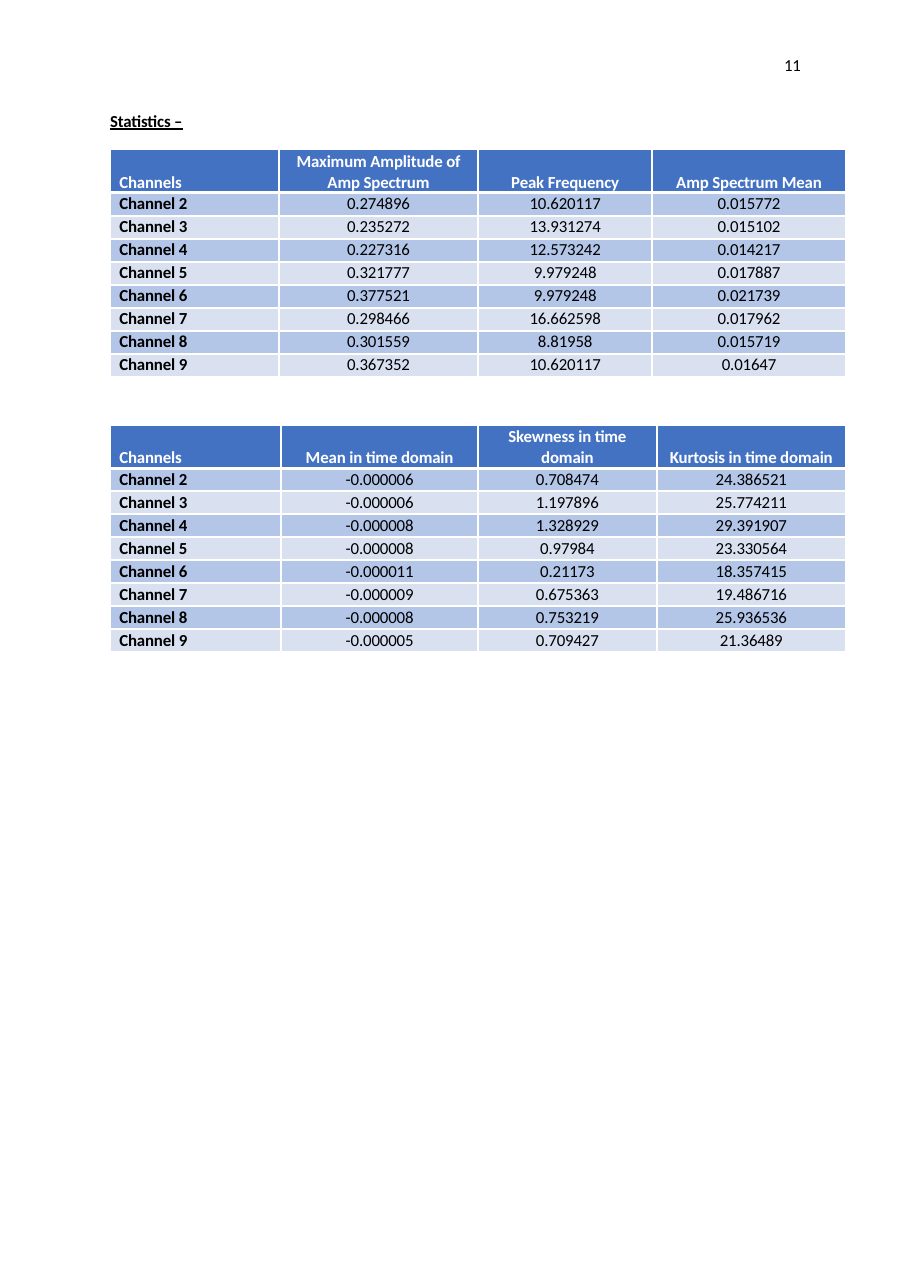
from dataclasses import dataclass

from lxml import etree
from pptx import Presentation
from pptx.dml.color import RGBColor
from pptx.enum.text import MSO_ANCHOR, PP_ALIGN
from pptx.oxml.ns import qn
from pptx.util import Cm, Pt

LEFT, CENTER = PP_ALIGN.LEFT, PP_ALIGN.CENTER
TOP, MIDDLE, BOTTOM = MSO_ANCHOR.TOP, MSO_ANCHOR.MIDDLE, MSO_ANCHOR.BOTTOM
TITLE_ONLY = 5


@dataclass(frozen=True)
class Theme:
    font: str = "Calibri"
    size: float = 11
    tracking: int = -10
    ink: str = "000000"
    white: str = "FFFFFF"
    header: str = "4472C3"
    bands: tuple = ("B4C6E7", "D9E1F1")
    grid: float = 1.5
    header_rule: float = 2.25


# Content
CHANNELS = [f"Channel {number}" for number in range(2, 10)]
SPECTRUM = {
    "Maximum Amplitude of\nAmp Spectrum":
        "0.274896 0.235272 0.227316 0.321777 0.377521 0.298466 0.301559 0.367352",
    "Peak Frequency":
        "10.620117 13.931274 12.573242 9.979248 9.979248 16.662598 8.81958 10.620117",
    "Amp Spectrum Mean":
        "0.015772 0.015102 0.014217 0.017887 0.021739 0.017962 0.015719 0.01647",
}
TIME_DOMAIN = {
    "Mean in time domain":
        "-0.000006 -0.000006 -0.000008 -0.000008 -0.000011 -0.000009 -0.000008 -0.000005",
    "Skewness in time\ndomain":
        "0.708474 1.197896 1.328929 0.97984 0.21173 0.675363 0.753219 0.709427",
    "Kurtosis in time domain":
        "24.386521 25.774211 29.391907 23.330564 18.357415 19.486716 25.936536 21.36489",
}

# Layout in centimetres
MARGIN = 2.54
HEADER_HEIGHT, ROW_HEIGHT = 0.99, 0.53
CELL_INDENT = 0.21


class Page:
    def __init__(self, slide, theme):
        self.slide = slide
        self.theme = theme

    def fill_text(self, frame, text, color, align, **font_format):
        """Fill a text frame, one paragraph for each line of text."""
        frame.text = text
        values = {"name": self.theme.font, "size": Pt(self.theme.size), **font_format}
        for paragraph in frame.paragraphs:
            paragraph.alignment = align
            for run in paragraph.runs:
                for key, value in values.items():
                    setattr(run.font, key, value)
                run.font.color.rgb = RGBColor.from_string(color)
                run.font._element.set("spc", str(self.theme.tracking))

    def line_of_text(self, shape, text, left, top, width, **font_format):
        box = {"left": Cm(left), "top": Cm(top), "width": Cm(width), "height": Cm(0.5)}
        for key, value in box.items():
            setattr(shape, key, value)
        frame_format = {"margin_left": 0, "margin_right": 0, "margin_top": 0,
                        "margin_bottom": 0, "vertical_anchor": TOP, "word_wrap": True}
        for key, value in frame_format.items():
            setattr(shape.text_frame, key, value)
        self.fill_text(shape.text_frame, text, self.theme.ink, LEFT, **font_format)

    def heading(self, text, left, top, width):
        self.line_of_text(self.slide.shapes.title, text, left, top, width,
                          bold=True, underline=True)

    def page_number(self, text, left, top, width):
        number = self.slide.shapes.add_textbox(0, 0, 0, 0)
        self.line_of_text(number, text, left, top, width)

    def borders(self, cell, edges):
        """Draw white rules; edges maps L, R, T, B to widths, in that order."""
        properties = cell._tc.get_or_add_tcPr()
        for position, (edge, width) in enumerate(edges.items()):
            line = etree.Element(qn(f"a:ln{edge}"), w=str(Pt(width)))
            fill = etree.SubElement(line, qn("a:solidFill"))
            etree.SubElement(fill, qn("a:srgbClr"), val=self.theme.white)
            properties.insert(position, line)

    def cell(self, cell, text, row, column, last_row, last_column):
        theme = self.theme
        is_header, is_label = row == 0, column == 0
        cell_format = {"margin_left": Cm(CELL_INDENT) if is_label else 0,
                       "margin_right": 0, "margin_top": 0, "margin_bottom": 0,
                       "vertical_anchor": BOTTOM if is_header else MIDDLE}
        for key, value in cell_format.items():
            setattr(cell, key, value)
        self.fill_text(cell.text_frame, text, theme.white if is_header else theme.ink,
                       LEFT if is_label else CENTER, bold=is_header or is_label)
        cell.fill.solid()
        shade = theme.header if is_header else theme.bands[(row - 1) % 2]
        cell.fill.fore_color.rgb = RGBColor.from_string(shade)

        # Rules run between cells only, heavier under the header
        edges = {}
        if column > 0:
            edges["L"] = theme.grid
        if column < last_column:
            edges["R"] = theme.grid
        if row > 0:
            edges["T"] = theme.header_rule if row == 1 else theme.grid
        if row < last_row:
            edges["B"] = theme.header_rule if is_header else theme.grid
        self.borders(cell, edges)

    def channel_table(self, statistics, top, widths):
        columns = [["Channels", *CHANNELS]]
        columns += [[name, *values.split()] for name, values in statistics.items()]
        rows = list(zip(*columns))
        height = HEADER_HEIGHT + ROW_HEIGHT * len(CHANNELS)
        table = self.slide.shapes.add_table(
            len(rows), len(columns), Cm(MARGIN), Cm(top),
            Cm(sum(widths)), Cm(height)).table
        table.horz_banding = False
        for column, width in zip(table.columns, widths):
            column.width = Cm(width)
        for index, texts in enumerate(rows):
            table.rows[index].height = Cm(ROW_HEIGHT if index else HEADER_HEIGHT)
            for column, text in enumerate(texts):
                self.cell(table.cell(index, column), text, index, column,
                          len(rows) - 1, len(columns) - 1)


def main():
    deck = Presentation()
    deck.slide_width, deck.slide_height = Cm(21.03), Cm(29.69)
    page = Page(deck.slides.add_slide(deck.slide_layouts[TITLE_ONLY]), Theme())

    # Page number and heading
    page.page_number("11", 18.08, 1.26, 0.6)
    page.heading("Statistics –", MARGIN, 2.55, 3)

    # Statistics for each channel
    page.channel_table(SPECTRUM, 3.45, [3.89, 4.6, 4.01, 4.47])
    page.channel_table(TIME_DOMAIN, 9.8, [3.94, 4.55, 4.11, 4.37])

    deck.save("out.pptx")


if __name__ == "__main__":
    main()
